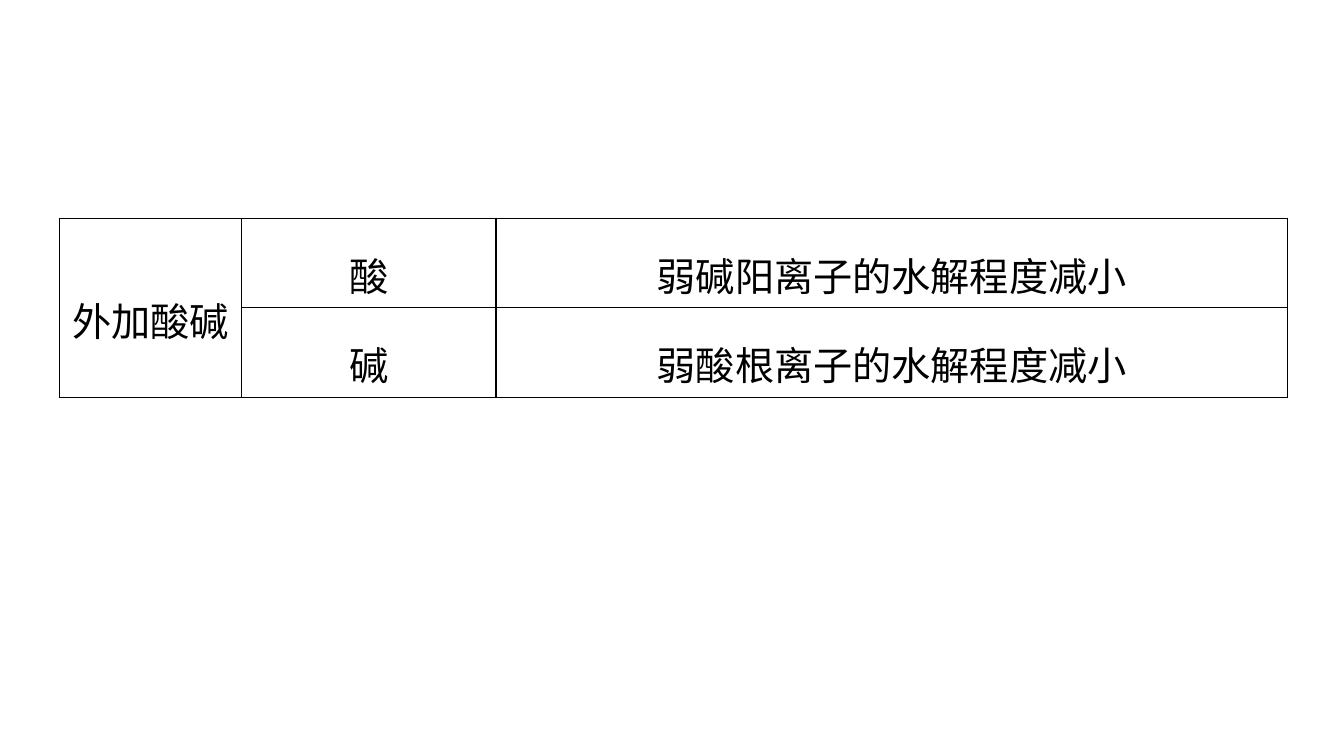
from dataclasses import dataclass

from lxml.etree import SubElement
from pptx import Presentation
from pptx.dml.color import RGBColor
from pptx.enum.text import MSO_ANCHOR, PP_ALIGN
from pptx.oxml.ns import qn
from pptx.table import Table, _Cell
from pptx.util import Inches, Pt


@dataclass(frozen=True)
class Theme:
    font: str = "Times New Roman"
    size: float = 28
    ink: str = "000000"
    rule: float = 1
    lead: float = 1.4


@dataclass(frozen=True)
class Entry:
    row: int
    col: int
    text: str
    rows: int = 1
    cols: int = 1


THEME = Theme()
WIDE, HIGH = Inches(13.33), Inches(7.5)

# Percent of the slide's width or height
LEFT, TOP = 4.4, 28.9
COLS = (13.6, 18.9, 14.8, 15.4, 28.7)
ROWS = (8.9, 8.9)

ENTRIES = (
    Entry(0, 0, "外加酸碱", rows=2),
    Entry(0, 1, "酸"),
    Entry(0, 2, "弱碱阳离子的水解程度减小", cols=3),
    Entry(1, 1, "碱"),
    Entry(1, 2, "弱酸根离子的水解程度减小", cols=3),
)


def share(part: float, whole: int) -> int:
    """Turn a percentage of a slide side into a length."""
    return round(part * whole / 100)


def frame(cell: _Cell) -> None:
    """Rule all four sides and clear the fill."""
    props = cell._tc.get_or_add_tcPr()
    for side in ("lnL", "lnR", "lnT", "lnB"):
        line = SubElement(props, qn(f"a:{side}"), w=str(Pt(THEME.rule)))
        fill = SubElement(line, qn("a:solidFill"))
        SubElement(fill, qn("a:srgbClr"), val=THEME.ink)
    cell.fill.background()


def write(cell: _Cell, text: str, *, size: float = THEME.size,
          color: str = THEME.ink, align: PP_ALIGN = PP_ALIGN.CENTER) -> None:
    cell.vertical_anchor = MSO_ANCHOR.MIDDLE
    para = cell.text_frame.paragraphs[0]
    para.alignment = align
    para.line_spacing = THEME.lead
    run = para.add_run()
    run.text = text
    run.font.name = THEME.font
    run.font.size = Pt(size)
    run.font.color.rgb = RGBColor.from_string(color)


def place(table: Table, entry: Entry) -> None:
    cell = table.cell(entry.row, entry.col)
    if entry.rows * entry.cols > 1:
        last = table.cell(entry.row + entry.rows - 1, entry.col + entry.cols - 1)
        cell.merge(last)
    write(cell, entry.text)


def main() -> None:
    deck = Presentation()
    deck.slide_width, deck.slide_height = WIDE, HIGH
    slide = deck.slides.add_slide(deck.slide_layouts[6])
    table = slide.shapes.add_table(
        len(ROWS), len(COLS), share(LEFT, WIDE), share(TOP, HIGH),
        share(sum(COLS), WIDE), share(sum(ROWS), HIGH)).table
    table.first_row = table.horz_banding = False
    for col, part in zip(table.columns, COLS):
        col.width = share(part, WIDE)
    for row, part in zip(table.rows, ROWS):
        row.height = share(part, HIGH)
    for cell in table.iter_cells():
        frame(cell)
    for entry in ENTRIES:
        place(table, entry)
    deck.save("out.pptx")


if __name__ == "__main__":
    main()
